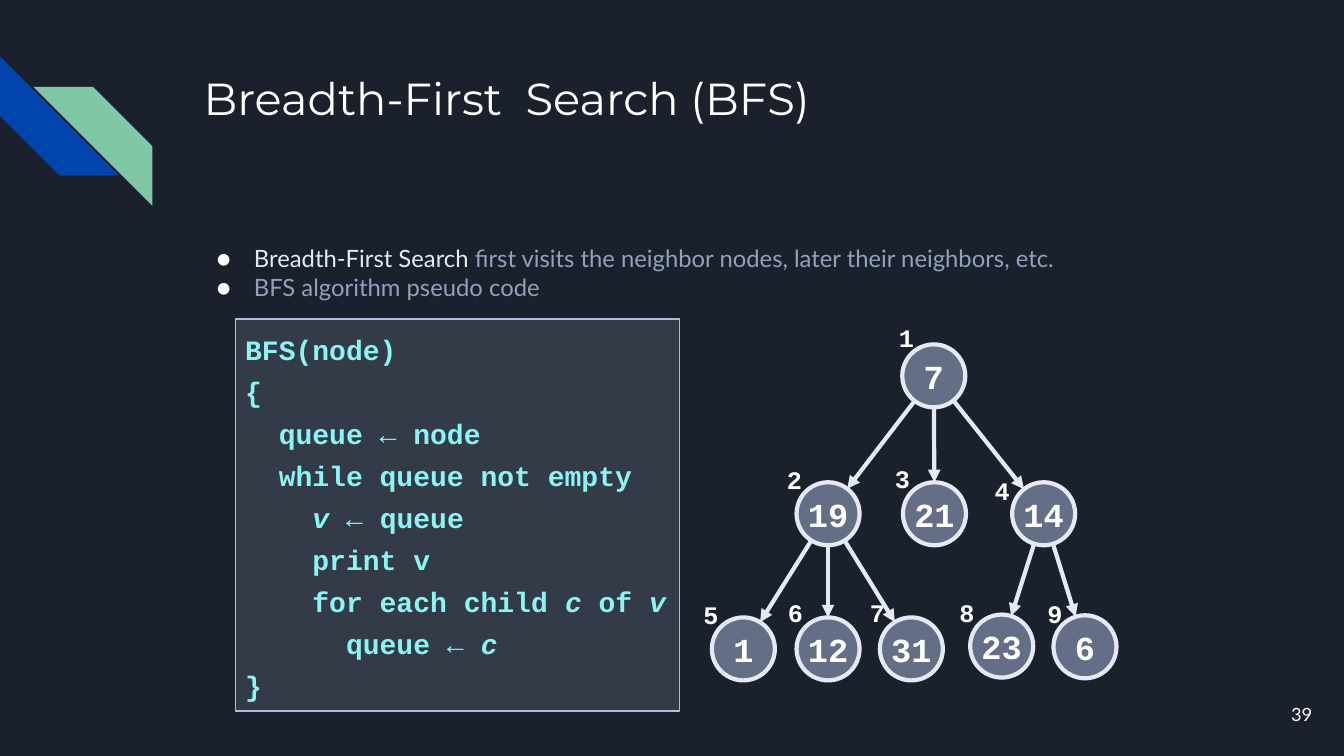
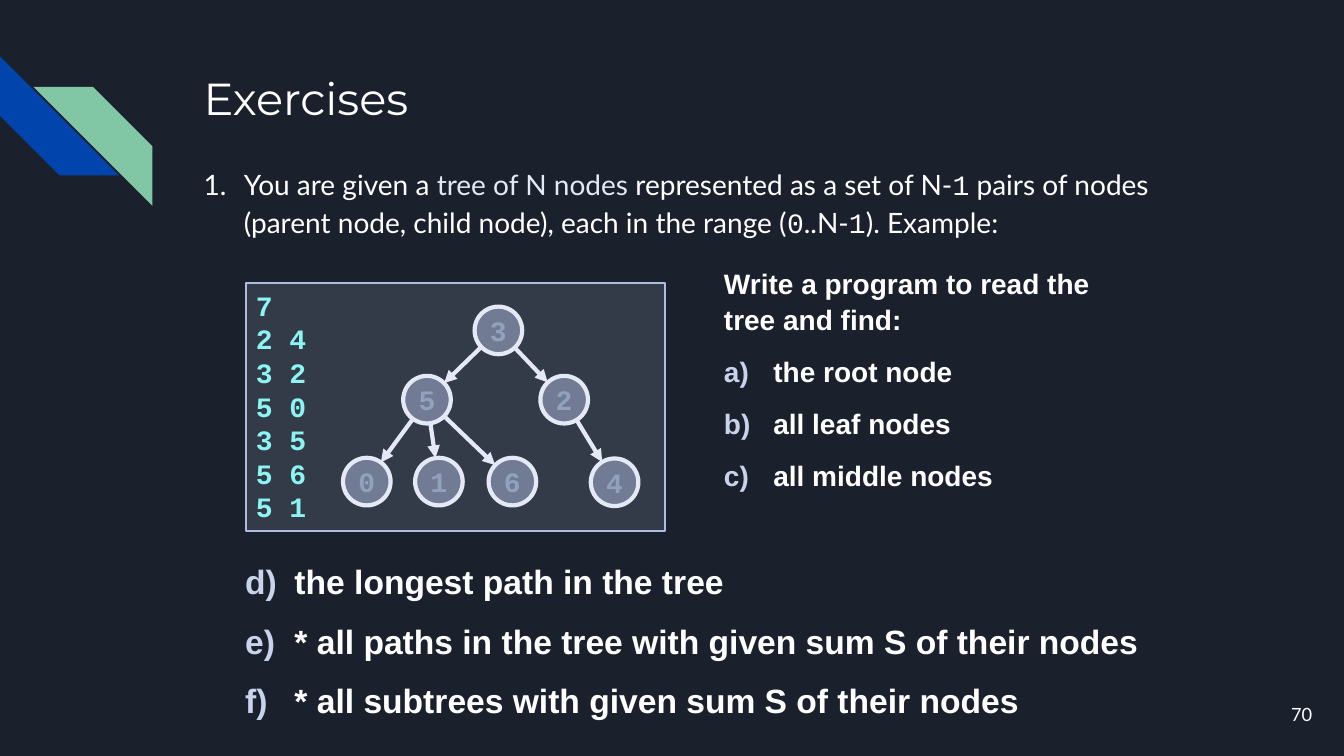
import math
from dataclasses import dataclass, replace
from typing import Optional

from lxml import etree
from pptx import Presentation
from pptx.dml.color import RGBColor
from pptx.enum import shapes, text
from pptx.oxml import ns
from pptx.util import Pt

NIGHT, BLUE, GREEN = "1B212C", "0145AC", "82C7A5"
WHITE, PALE, MUTED, AQUA = "FFFFFF", "E4E9F5", "92A1BC", "8CF4F2"
STEEL, MIST = "AEBCE1", "C9D3EB"
THEME_INSET = 9.4


@dataclass(frozen=True)
class Style:
    font: str
    size: float
    color: str = WHITE
    bold: bool = False
    italic: bool = False


@dataclass(frozen=True)
class Run:
    words: str
    style: Style


@dataclass(frozen=True)
class Bullet:
    indent: float
    hanging: float
    color: str
    char: str = ""
    scheme: str = ""
    start: int = 1


@dataclass(frozen=True)
class Line:
    runs: tuple[Run, ...]
    bullet: Optional[Bullet] = None
    leading: Optional[float] = None
    exact: bool = False
    gap: float = 0


@dataclass(frozen=True)
class Box:
    left: float
    top: float
    width: float
    height: float

    def lengths(self) -> tuple:
        return tuple(Pt(round(n, 2)) for n in (self.left, self.top, self.width, self.height))


@dataclass(frozen=True)
class Node:
    value: str
    x: float
    y: float
    parent: str = ""
    order: str = ""
    order_at: tuple[float, float] = (0, 0)


TITLE = Style("Montserrat", 32)
PAGE = Style("Lato", 13)
CODE = Style("Courier New", 20, AQUA, bold=True)
VARIABLE = replace(CODE, italic=True)
ORDER = replace(CODE, size=18, color=WHITE)
NOTE = Style("Lato", 17, MUTED)
TASK = Style("Lato", 20)
TASK_NUMBER = replace(TASK, font="Courier New")
ITEM = Style("Arial", 20, bold=True)
LARGE_ITEM = replace(ITEM, size=24)

BFS_CODE = (
    (Run("BFS(node)", CODE),),
    (Run("{", CODE),),
    (Run("  queue ← node", CODE),),
    (Run("  while queue not empty", CODE),),
    (Run("    ", CODE), Run("v ", VARIABLE), Run("← queue", CODE)),
    (Run("    print v", CODE),),
    (Run("    for each child ", CODE), Run("c", VARIABLE), Run(" of ", CODE), Run("v", VARIABLE)),
    (Run("      queue ← ", CODE), Run("c", VARIABLE)),
    (Run("}", CODE),),
)
BFS_TREE = (
    Node("7", 667, 268.5, "", "1", (635, 226.8)),
    Node("19", 591.5, 367, "7", "2", (555, 328.3)),
    Node("21", 667.5, 367, "7", "3", (632.2, 327.6)),
    Node("14", 745.5, 367, "7", "4", (703.4, 336.2)),
    Node("1", 531, 463.5, "19", "5", (495.4, 424.8)),
    Node("12", 591.5, 463.5, "19", "6", (555.8, 423.4)),
    Node("31", 651, 463.5, "19", "7", (614.2, 423.4)),
    Node("23", 715.5, 461.5, "14", "8", (678.2, 423.4)),
    Node("6", 775, 462, "14", "9", (741, 424)),
)
EXERCISE_TREE = (
    Node("3", 356, 236),
    Node("5", 305, 285.5, "3"),
    Node("2", 403, 285.5, "3"),
    Node("0", 262, 344, "5"),
    Node("1", 313.5, 344, "5"),
    Node("6", 366, 344, "5"),
    Node("4", 439, 344.5, "2"),
)


def paint(fill, color: str, alpha: int = 100) -> None:
    fill.solid()
    fill.fore_color.rgb = RGBColor.from_string(color)
    if alpha < 100:
        srgb = fill._xPr.find(".//" + ns.qn("a:srgbClr"))
        etree.SubElement(srgb, ns.qn("a:alpha"), val=str(alpha * 1000))


def add_bullet(paragraph, bullet: Bullet, font: str) -> None:
    props = paragraph._p.get_or_add_pPr()
    props.set("marL", str(Pt(bullet.indent)))
    props.set("indent", str(-Pt(bullet.hanging)))
    tint = etree.SubElement(props, ns.qn("a:buClr"))
    etree.SubElement(tint, ns.qn("a:srgbClr"), val=bullet.color)
    etree.SubElement(props, ns.qn("a:buFont"), typeface=font)
    if bullet.char:
        etree.SubElement(props, ns.qn("a:buChar"), char=bullet.char)
    else:
        number = etree.SubElement(props, ns.qn("a:buAutoNum"), type=bullet.scheme)
        if bullet.start > 1:
            number.set("startAt", str(bullet.start))


def write(frame, lines, align=text.PP_ALIGN.LEFT, anchor=text.MSO_ANCHOR.TOP,
          wrap: bool = True, inset: Optional[float] = None) -> None:
    frame.word_wrap = wrap
    frame.vertical_anchor = anchor
    if inset is not None:
        frame.margin_left = frame.margin_right = Pt(inset)
        frame.margin_top = frame.margin_bottom = Pt(inset)
    for index, line in enumerate(lines):
        paragraph = frame.add_paragraph() if index else frame.paragraphs[0]
        if line.bullet:
            add_bullet(paragraph, line.bullet, line.runs[0].style.font)
        paragraph.alignment = align
        if line.leading:
            paragraph.line_spacing = Pt(line.leading) if line.exact else line.leading
        if line.gap:
            paragraph.space_before = Pt(line.gap if index else 0)
            paragraph.space_after = Pt(line.gap)
        for part in line.runs:
            run = paragraph.add_run()
            run.text = part.words
            run.font.name = part.style.font
            run.font.size = Pt(part.style.size)
            run.font.bold = part.style.bold
            run.font.italic = part.style.italic
            paint(run.font.fill, part.style.color)


def add_text(slide, box: Box, lines, **layout) -> None:
    write(slide.shapes.add_textbox(*box.lengths()).text_frame, lines, **layout)


def add_figure(slide, preset, box: Box, color: str, alpha: int = 100,
               outline: str = "", weight: float = 0):
    figure = slide.shapes.add_shape(preset, *box.lengths())
    figure.shadow.inherit = False
    paint(figure.fill, color, alpha)
    if outline:
        paint(figure.line.fill, outline)
        figure.line.width = Pt(weight)
    else:
        figure.line.fill.background()
    return figure


def add_code(slide, box: Box, rows, leading: float) -> None:
    panel = add_figure(slide, shapes.MSO_SHAPE.RECTANGLE, box, MIST, 15, STEEL, 1)
    write(panel.text_frame, [Line(row, leading=leading, exact=True) for row in rows])


def add_edge(slide, parent: Node, child: Node, radius: float) -> None:
    dx, dy = child.x - parent.x, child.y - parent.y
    reach = radius / math.hypot(dx, dy)
    ends = (parent.x + dx * reach, parent.y + dy * reach,
            child.x - dx * reach, child.y - dy * reach)
    edge = slide.shapes.add_connector(
        shapes.MSO_CONNECTOR.STRAIGHT, *(Pt(round(n, 2)) for n in ends))
    paint(edge.line.fill, PALE)
    edge.line.width = Pt(3)
    etree.SubElement(edge.line._get_or_add_ln(), ns.qn("a:tailEnd"), type="triangle")
    etree.SubElement(edge._element.spPr, ns.qn("a:effectLst"))


def add_tree(slide, nodes, diameter: float, style: Style) -> None:
    by_value = {node.value: node for node in nodes}
    for node in nodes:
        box = Box(node.x - diameter / 2, node.y - diameter / 2, diameter, diameter)
        circle = add_figure(slide, shapes.MSO_SHAPE.OVAL, box, STEEL, 50, PALE, 3)
        write(circle.text_frame, [Line((Run(node.value, style),))], wrap=False,
              align=text.PP_ALIGN.CENTER, anchor=text.MSO_ANCHOR.MIDDLE)
        if node.parent:
            add_edge(slide, by_value[node.parent], node, diameter / 2)
        if node.order:
            add_text(slide, Box(*node.order_at, 24.5, 28.8),
                     [Line((Run(node.order, ORDER),))], wrap=False)


def start_slide(deck, title: str, page: str):
    slide = deck.slides.add_slide(deck.slide_layouts[6])
    stripe = shapes.MSO_SHAPE.DIAGONAL_STRIPE
    add_figure(slide, stripe, Box(0, 40.3, 85, 85), BLUE).rotation = 270
    mirrored = add_figure(slide, stripe, Box(23.8, 62, 85, 85), GREEN)
    mirrored._element.spPr.find(ns.qn("a:xfrm")).set("flipH", "1")
    add_text(slide, Box(136, 41, 739, 96), [Line((Run(title, TITLE),))], inset=THEME_INSET)
    add_text(slide, Box(889, 489.6, 57.6, 41), [Line((Run(page, PAGE),))], inset=THEME_INSET,
             align=text.PP_ALIGN.RIGHT, anchor=text.MSO_ANCHOR.MIDDLE)
    return slide


def build_search(deck) -> None:
    slide = start_slide(deck, "Breadth-First  Search (BFS)", "39")
    dot = Bullet(36, 26.6, WHITE, char="●")
    add_text(slide, Box(136, 165, 739, 306), [
        Line((Run("Breadth-First Search", replace(NOTE, color=PALE)),
              Run(" first visits the neighbor nodes, later their neighbors, etc.", NOTE)), dot),
        Line((Run("BFS algorithm pseudo code", NOTE),), dot),
    ], inset=THEME_INSET)
    add_code(slide, Box(168, 228, 317.5, 280), BFS_CODE, 30)
    add_tree(slide, BFS_TREE, 45, replace(CODE, size=24, color=WHITE))


def build_exercises(deck) -> None:
    slide = start_slide(deck, "Exercises", "70")
    task = (
        Run("You are given a ", TASK),
        Run("tree of N nodes ", replace(TASK, color=PALE)),
        Run("represented as a set of N-", TASK),
        Run("1", TASK_NUMBER),
        Run(" pairs of nodes (parent node, child node), each in the range (", TASK),
        Run("0", TASK_NUMBER),
        Run("..N-", TASK),
        Run("1", TASK_NUMBER),
        Run("). Example:", TASK),
    )
    numbered = Bullet(28.8, 28.8, WHITE, scheme="arabicPeriod")
    add_text(slide, Box(136, 106.5, 739, 364), [Line(task, numbered, 1.15)], inset=THEME_INSET)

    pairs = ("7", "2 4", "3 2", "5 0", "3 5", "5 6", "5 1")
    add_code(slide, Box(175.7, 202.3, 299.5, 177), [(Run(pair, CODE),) for pair in pairs], 24)
    add_tree(slide, EXERCISE_TREE, 34, replace(CODE, color=MUTED))

    lettered = Bullet(35.3, 35.3, MIST, scheme="alphaLcParenR")
    intro = Line((Run("Write a program to read the tree and find:", ITEM),), None, 1.05, gap=6)
    finds = ("the root node", "all leaf nodes", "all middle nodes")
    add_text(slide, Box(510, 185.8, 312, 181.5),
             [intro] + [Line((Run(find, ITEM),), lettered, 1.05, gap=6) for find in finds])
    harder = (
        "the longest path in the tree",
        "* all paths in the tree with given sum S of their nodes",
        "* all subtrees with given sum S of their nodes",
    )
    add_text(slide, Box(168, 396, 654, 129),
             [Line((Run(find, LARGE_ITEM),), replace(lettered, start=4), 1.05, gap=6)
              for find in harder])


def main() -> None:
    deck = Presentation()
    deck.slide_width, deck.slide_height = Pt(960), Pt(540)
    paint(deck.slide_master.background.fill, NIGHT)
    build_search(deck)
    build_exercises(deck)
    deck.save("out.pptx")


if __name__ == "__main__":
    main()
